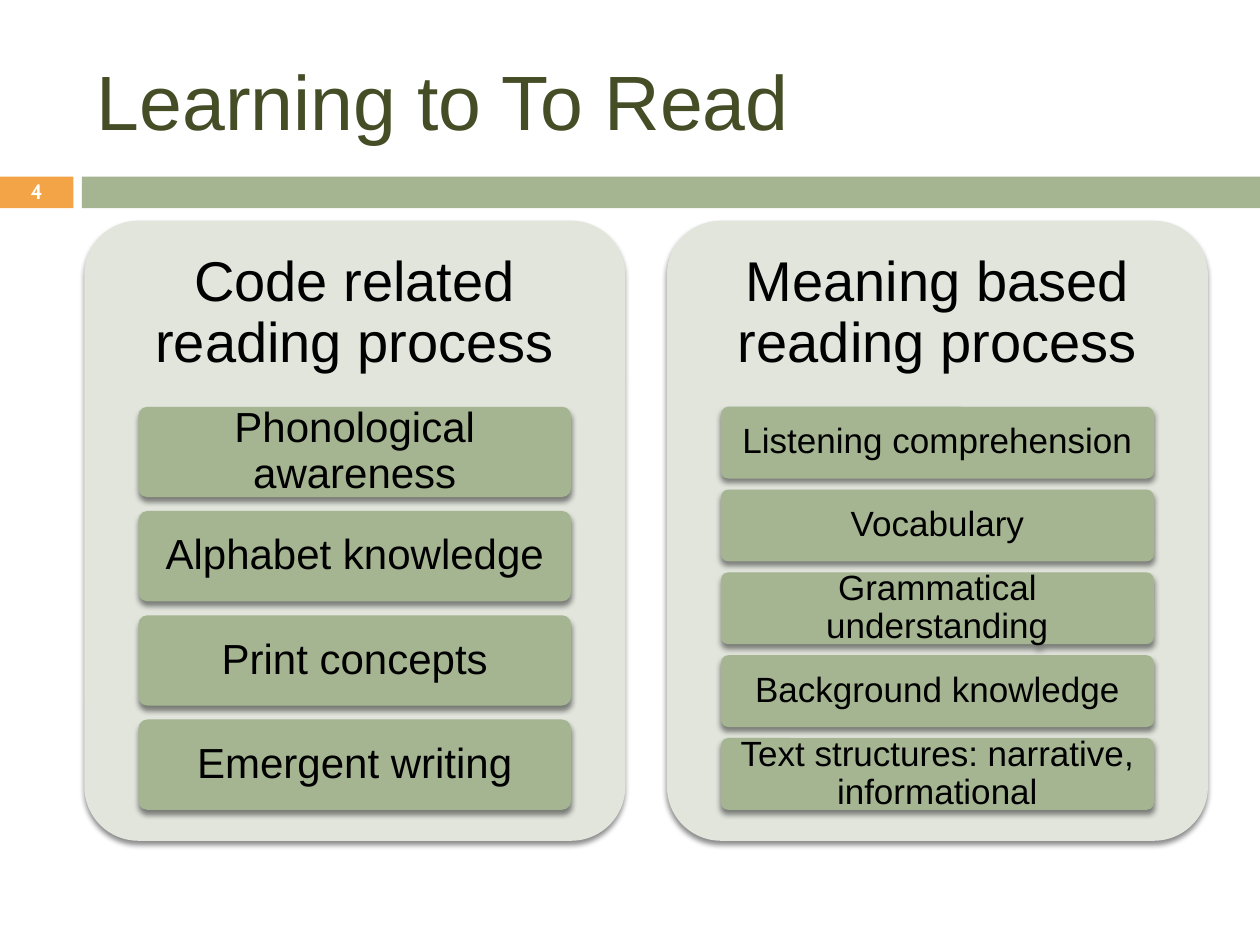
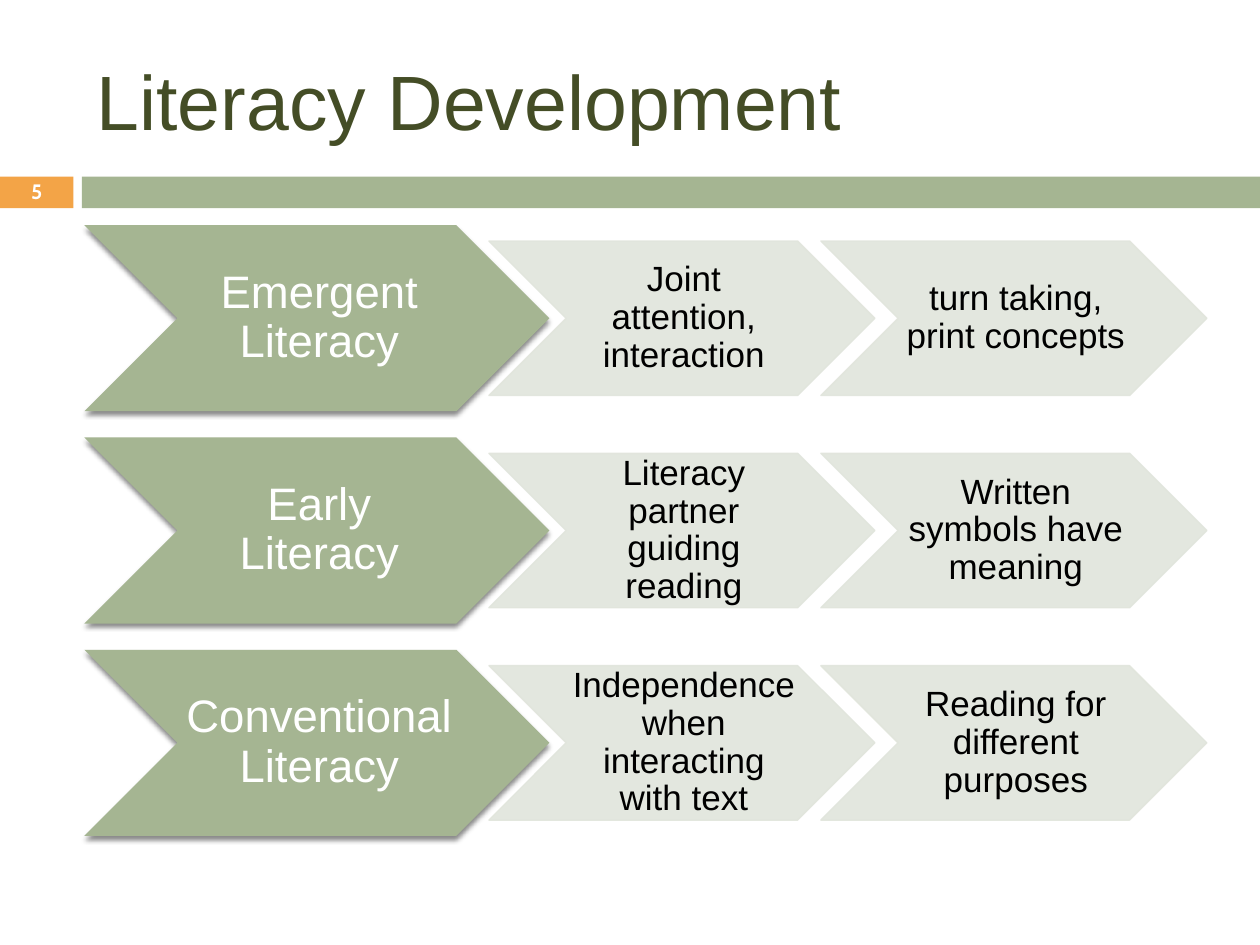
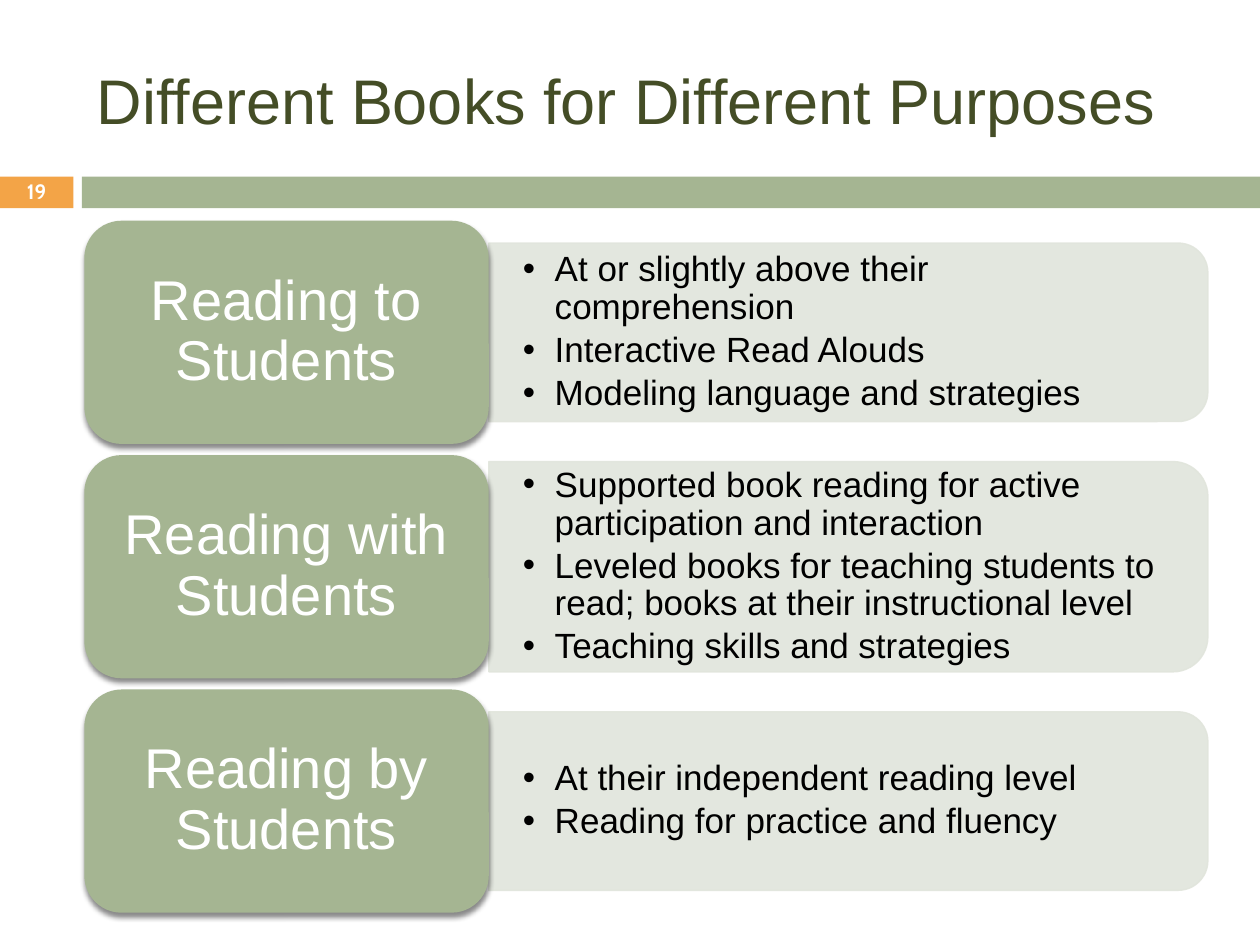
from dataclasses import dataclass

from lxml.etree import SubElement
from pptx import Presentation
from pptx.dml.color import RGBColor
from pptx.enum.shapes import MSO_SHAPE
from pptx.enum.text import MSO_ANCHOR, PP_ALIGN
from pptx.oxml import parse_xml
from pptx.oxml.ns import nsdecls, qn
from pptx.util import Cm, Pt

COLORS = {
    "accent": "F3A447",
    "sage": "A5B592",
    "pale": "E1E5DC",
    "title": "444D26",
    "black": "000000",
    "white": "FFFFFF",
}
BODY_FONT = "Arial"
NUMBER_FONT = "Cabin"
LINE_SPACING = 0.9


@dataclass
class Box:
    """A rectangle in centimetres."""
    left: float
    top: float
    width: float
    height: float

    def lengths(self):
        return Cm(self.left), Cm(self.top), Cm(self.width), Cm(self.height)


TITLE_BOX = Box(1.7, 0.64, 22.65, 2.74)
NUMBER_BOX = Box(0, 3.56, 1.48, 0.64)
BAND_BOX = Box(1.65, 3.56, 23.75, 0.64)
PANELS_BOX = Box(1.7, 4.45, 22.65, 12.5)
CHEVRONS_BOX = Box(1.7, 4.54, 22.65, 12.31)
PURPOSES_BOX = Box(1.7, 4.45, 22.65, 13.95)


def rgb(name):
    return RGBColor.from_string(COLORS[name])


def add_run(paragraph, text, size, color, font=BODY_FONT, bold=False):
    run = paragraph.add_run()
    run.text = text
    run.font.name = font
    run.font.size = Pt(size)
    run.font.bold = bold
    run.font.color.rgb = rgb(color)


def set_frame(shape, margins):
    """Wrap and centre vertically; margins are left, top, right, bottom in cm."""
    frame = shape.text_frame
    frame.word_wrap = True
    frame.vertical_anchor = MSO_ANCHOR.MIDDLE
    frame.margin_left, frame.margin_top, frame.margin_right, frame.margin_bottom = map(Cm, margins)
    return frame


def write_centered(shape, text, size, color, margins=(0, 0, 0, 0), font=BODY_FONT, bold=False):
    paragraph = set_frame(shape, margins).paragraphs[0]
    paragraph.alignment = PP_ALIGN.CENTER
    paragraph.line_spacing = LINE_SPACING
    add_run(paragraph, text, size, color, font, bold)


def add_plain(slide, kind, box, color):
    shape = slide.shapes.add_shape(kind, *box.lengths())
    shape.shadow.inherit = False
    shape.fill.solid()
    shape.fill.fore_color.rgb = rgb(color)
    shape.line.fill.background()
    return shape


def add_raised(slide, kind, box, color):
    """Add a shape with a soft shadow below it."""
    shape = add_plain(slide, kind, box, color)
    effects = shape.element.spPr.find(qn("a:effectLst"))
    effects.append(parse_xml(
        f'<a:outerShdw {nsdecls("a")} blurRad="{Pt(3)}" dist="{Pt(2.4)}" dir="5400000" '
        f'rotWithShape="0"><a:srgbClr val="{COLORS["black"]}"><a:alpha val="45000"/>'
        '</a:srgbClr></a:outerShdw>'))
    return shape


def add_translucent(slide, kind, box):
    """Add a pale shape whose fill and outline are 90 percent opaque."""
    shape = add_plain(slide, kind, box, "pale")
    shape.line.color.rgb = rgb("pale")
    shape.line.width = Pt(0.79)
    for color in shape.element.spPr.iter(qn("a:srgbClr")):
        SubElement(color, qn("a:alpha"), val="90000")
    return shape


def add_titled_slide(presentation, title, number, title_size=44):
    slide = presentation.slides.add_slide(presentation.slide_layouts[5])
    placeholder = slide.shapes.title
    placeholder.left, placeholder.top, placeholder.width, placeholder.height = TITLE_BOX.lengths()
    paragraph = set_frame(placeholder, (0.25, 0.13, 0.25, 0.13)).paragraphs[0]
    paragraph.alignment = PP_ALIGN.LEFT
    add_run(paragraph, title, title_size, "title")
    number_box = slide.shapes.add_textbox(*NUMBER_BOX.lengths())
    write_centered(number_box, number, 11.9, "white", font=NUMBER_FONT, bold=True)
    return slide


def move_bands_to_layout(slide):
    """Draw the two bands and hand them to the layout all slides share."""
    layout_tree = slide.slide_layout.shapes.element
    for box, color in ((NUMBER_BOX, "accent"), (BAND_BOX, "sage")):
        band = add_plain(slide, MSO_SHAPE.RECTANGLE, box, color)
        layout_tree.append(band.element)


def add_panel(slide, box, heading, items, item_size):
    panel = add_raised(slide, MSO_SHAPE.ROUNDED_RECTANGLE, box, "pale")
    panel.adjustments[0] = 0.1
    write_centered(panel, heading, 32, "black", (0, 0, 0, 0.7 * box.height))
    gap_ratio = 1 / 6.5
    count = len(items)
    height = 0.65 * box.height / (count + (count - 1) * gap_ratio)
    for index, item in enumerate(items):
        top = box.top + 0.3 * box.height + index * height * (1 + gap_ratio)
        item_box = Box(box.left + 0.1 * box.width, top, 0.8 * box.width, height)
        pill = add_raised(slide, MSO_SHAPE.ROUNDED_RECTANGLE, item_box, "sage")
        pill.adjustments[0] = 0.1
        write_centered(pill, item, item_size, "black", (0.16, 0.11, 0.16, 0.11))


def add_panels(slide, box, panels):
    gap = 0.84
    width = (box.width - gap * (len(panels) - 1)) / len(panels)
    for index, panel in enumerate(panels):
        left = box.left + index * (width + gap)
        add_panel(slide, Box(left, box.top, width, box.height), *panel)


def add_chevron_row(slide, box, stage, steps):
    """Add a large chevron followed by smaller ones that tuck into each other."""
    stage_box = Box(box.left, box.top, 2.5 * box.height, box.height)
    chevron = add_raised(slide, MSO_SHAPE.CHEVRON, stage_box, "sage")
    write_centered(chevron, stage, 26, "white", (0.1, 0.05, 0, 0.05))
    height = 0.83 * box.height
    width = 2.5 * height
    left = box.left + 0.87 * stage_box.width
    for step in steps:
        step_box = Box(left, box.top + (box.height - height) / 2, width, height)
        chevron = add_translucent(slide, MSO_SHAPE.CHEVRON, step_box)
        write_centered(chevron, step, 20, "black", (0.08, 0.03, 0, 0.03))
        left += 0.86 * width


def add_chevron_rows(slide, box, rows):
    height = 3.75
    pitch = (box.height - height) / (len(rows) - 1)
    for index, (stage, steps) in enumerate(rows):
        row_box = Box(box.left, box.top + index * pitch, box.width, height)
        add_chevron_row(slide, row_box, stage, steps)


def add_bullets(slide, box, items):
    text_box = slide.shapes.add_textbox(*box.lengths())
    frame = set_frame(text_box, (0.69, 0.36, 0.69, 0.36))
    for index, item in enumerate(items):
        paragraph = frame.add_paragraph() if index else frame.paragraphs[0]
        properties = paragraph._p.get_or_add_pPr()
        properties.set("marL", str(Cm(0.64)))
        properties.set("indent", str(-Cm(0.64)))
        paragraph.line_spacing = LINE_SPACING
        if index:
            paragraph.space_before = Pt(3)
        SubElement(properties, qn("a:buFont"), typeface=BODY_FONT)
        SubElement(properties, qn("a:buChar"), char="•")
        add_run(paragraph, item, 20, "black")


def add_purpose(slide, box, heading, items, card_height):
    """Add a heading block with a bulleted card joined to its right side."""
    heading_box = Box(box.left, box.top, 0.36 * box.width, box.height)
    card_left = heading_box.left + heading_box.width
    card_width = box.width - heading_box.width
    middle = box.top + box.height / 2
    upright_box = Box(card_left + (card_width - card_height) / 2, middle - card_width / 2,
                      card_height, card_width)
    card = add_translucent(slide, MSO_SHAPE.ROUND_2_SAME_RECTANGLE, upright_box)
    card.rotation = 90
    text_height = 0.9 * card_height
    add_bullets(slide, Box(card_left, middle - text_height / 2, card_width - 0.18, text_height),
                items)
    block = add_raised(slide, MSO_SHAPE.ROUNDED_RECTANGLE, heading_box, "sage")
    write_centered(block, heading, 32, "white", (0.33, 0.17, 0.33, 0.17))


def add_purposes(slide, box, purposes):
    height = 4.5
    pitch = (box.height - height) / (len(purposes) - 1)
    for index, purpose in enumerate(purposes):
        add_purpose(slide, Box(box.left, box.top + index * pitch, box.width, height), *purpose)


def main():
    presentation = Presentation()
    presentation.slide_width = Cm(25.4)
    presentation.slide_height = Cm(19.05)

    slide = add_titled_slide(presentation, "Learning to To Read", "4")
    move_bands_to_layout(slide)
    add_panels(slide, PANELS_BOX, [
        ("Code related reading process",
         ["Phonological awareness", "Alphabet knowledge", "Print concepts", "Emergent writing"],
         24),
        ("Meaning based reading process",
         ["Listening comprehension", "Vocabulary", "Grammatical understanding",
          "Background knowledge", "Text structures: narrative, informational"], 20),
    ])

    slide = add_titled_slide(presentation, "Literacy Development", "5")
    add_chevron_rows(slide, CHEVRONS_BOX, [
        ("Emergent Literacy", ["Joint attention, interaction", "turn taking, print concepts"]),
        ("Early Literacy", ["Literacy partner guiding reading", "Written symbols have meaning"]),
        ("Conventional Literacy",
         ["Independence when interacting with text", "Reading for different purposes"]),
    ])

    slide = add_titled_slide(presentation, "Different Books for Different Purposes", "19", 36)
    add_purposes(slide, PURPOSES_BOX, [
        ("Reading to Students",
         ["At or slightly above their comprehension", "Interactive Read Alouds",
          "Modeling language and strategies"], 3.6),
        ("Reading with Students",
         ["Supported book reading for active participation and interaction",
          "Leveled books for teaching students to read; books at their instructional level",
          "Teaching skills and strategies"], 4.24),
        ("Reading by Students",
         ["At their independent reading level", "Reading for practice and fluency"], 3.6),
    ])

    presentation.save("out.pptx")


if __name__ == "__main__":
    main()
